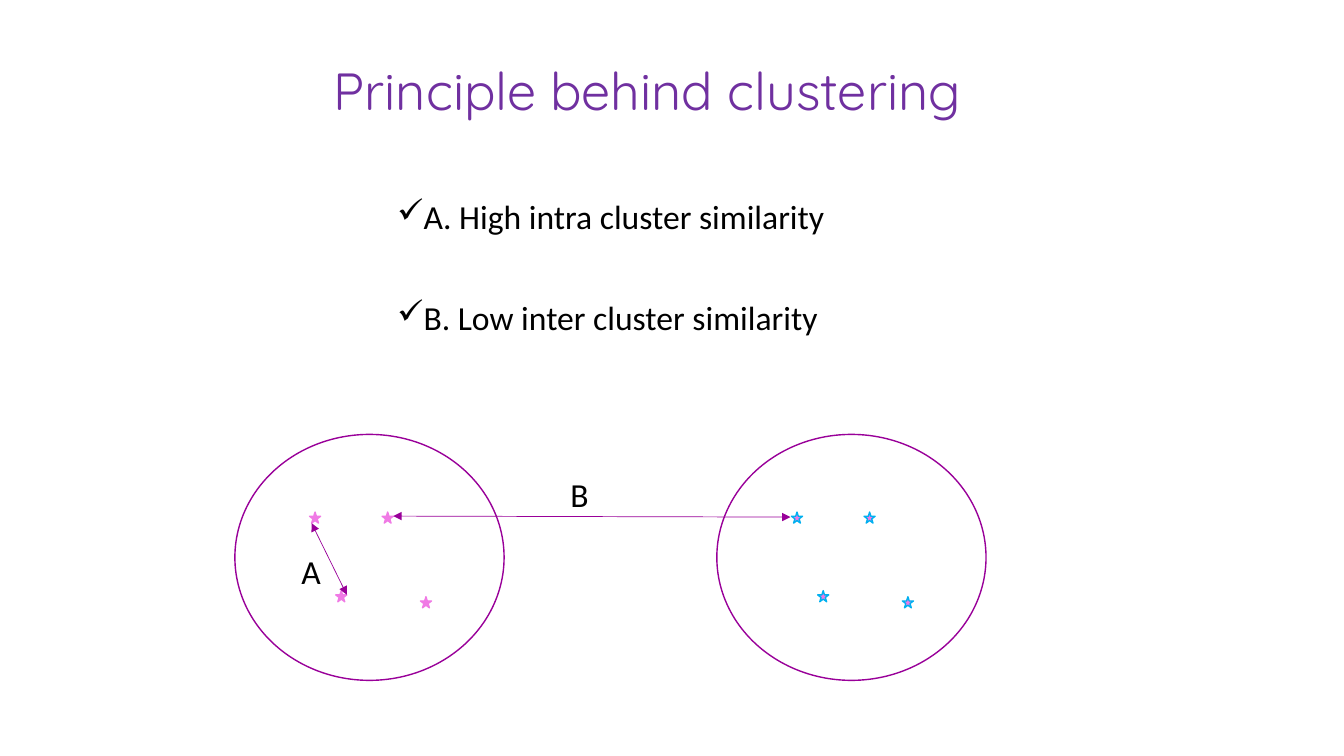
from lxml.etree import SubElement
from pptx import Presentation
from pptx.dml.color import RGBColor
from pptx.enum.shapes import MSO_CONNECTOR, MSO_SHAPE
from pptx.oxml.ns import qn
from pptx.util import Pt

PX = 9144
PURPLE, PINK, BLUE, WHITE, BLACK = "990099", "F07AE5", "00B0F0", "FFFFFF", "000000"
STAR = 11
STAR_OFFSETS = [(74, 77), (146, 77), (100, 155), (184, 161)]


def px(*lengths):
    return [length * PX for length in lengths]


def color(code):
    return RGBColor.from_string(code)


def apply_format(target, values):
    for name, value in values.items():
        setattr(target, name, value)


def add_text(slide, box, lines, size, font="Calibri", code=BLACK):
    frame = slide.shapes.add_textbox(*px(*box)).text_frame
    frame.word_wrap = True
    for index, line in enumerate(lines):
        paragraph = frame.paragraphs[0] if index == 0 else frame.add_paragraph()
        run = paragraph.add_run()
        run.text = line
        apply_format(run.font, {"name": font, "size": Pt(size)})
        run.font.color.rgb = color(code)
    return frame


def add_principles(slide, box, principles):
    frame = add_text(slide, box, principles, 24)
    for index, paragraph in enumerate(frame.paragraphs):
        apply_format(paragraph, {"line_spacing": 0.9, "space_before": Pt(46 if index else 0)})
        properties = paragraph._p.get_or_add_pPr()
        indent = 25 * PX
        properties.set("marL", str(indent))
        properties.set("indent", str(-indent))
        SubElement(properties, qn("a:buChar"), char="✓")


def add_outlined(slide, kind, box, fill, line):
    outlined = slide.shapes.add_shape(kind, *px(*box))
    outlined.shadow.inherit = False
    outlined.fill.solid()
    outlined.fill.fore_color.rgb = color(fill)
    outlined.line.color.rgb = color(line)
    outlined.line.width = Pt(1)


def add_cluster(slide, box, star_line):
    left, top, width, height = box
    add_outlined(slide, MSO_SHAPE.OVAL, box, WHITE, PURPLE)
    for across, down in STAR_OFFSETS:
        star_box = (left + across, top + down, STAR, STAR)
        add_outlined(slide, MSO_SHAPE.STAR_5_POINT, star_box, PINK, star_line)


def add_distance(slide, start, end, label, label_box):
    arrow = slide.shapes.add_connector(MSO_CONNECTOR.STRAIGHT, *px(*start, *end))
    arrow.line.color.rgb = color(PURPLE)
    arrow.line.width = Pt(0.5)
    outline = arrow.line._get_or_add_ln()
    for end_tag in ("a:headEnd", "a:tailEnd"):
        SubElement(outline, qn(end_tag), type="triangle")
    SubElement(arrow._element.spPr, qn("a:effectLst"))
    add_text(slide, label_box, [label], 24)


def add_diagram(slide, box):
    left, top, width, height = box
    oval_width = 267
    add_cluster(slide, (left, top, oval_width, height), PINK)
    add_cluster(slide, (left + width - oval_width, top, oval_width, height), BLUE)
    add_distance(slide, (left + 157, top + 81), (left + 551, top + 82),
                 "B", (left + 323, top + 34, 36, 50))
    add_distance(slide, (left + 76, top + 88), (left + 111, top + 159),
                 "A", (left + 56, top + 111, 36, 50))


def main():
    presentation = Presentation()
    apply_format(presentation, {"slide_width": 1333 * PX, "slide_height": 750 * PX})
    slide = presentation.slides.add_slide(presentation.slide_layouts[6])
    add_principles(slide, (384, 194, 539, 200),
                   ["A. High intra cluster similarity", "B. Low inter cluster similarity"])
    add_text(slide, (321, 53, 685, 73), ["Principle behind clustering"],
             37.3, "Quicksand", "7030A0")
    add_diagram(slide, (233, 431, 745, 244))
    presentation.save("out.pptx")


if __name__ == "__main__":
    main()
